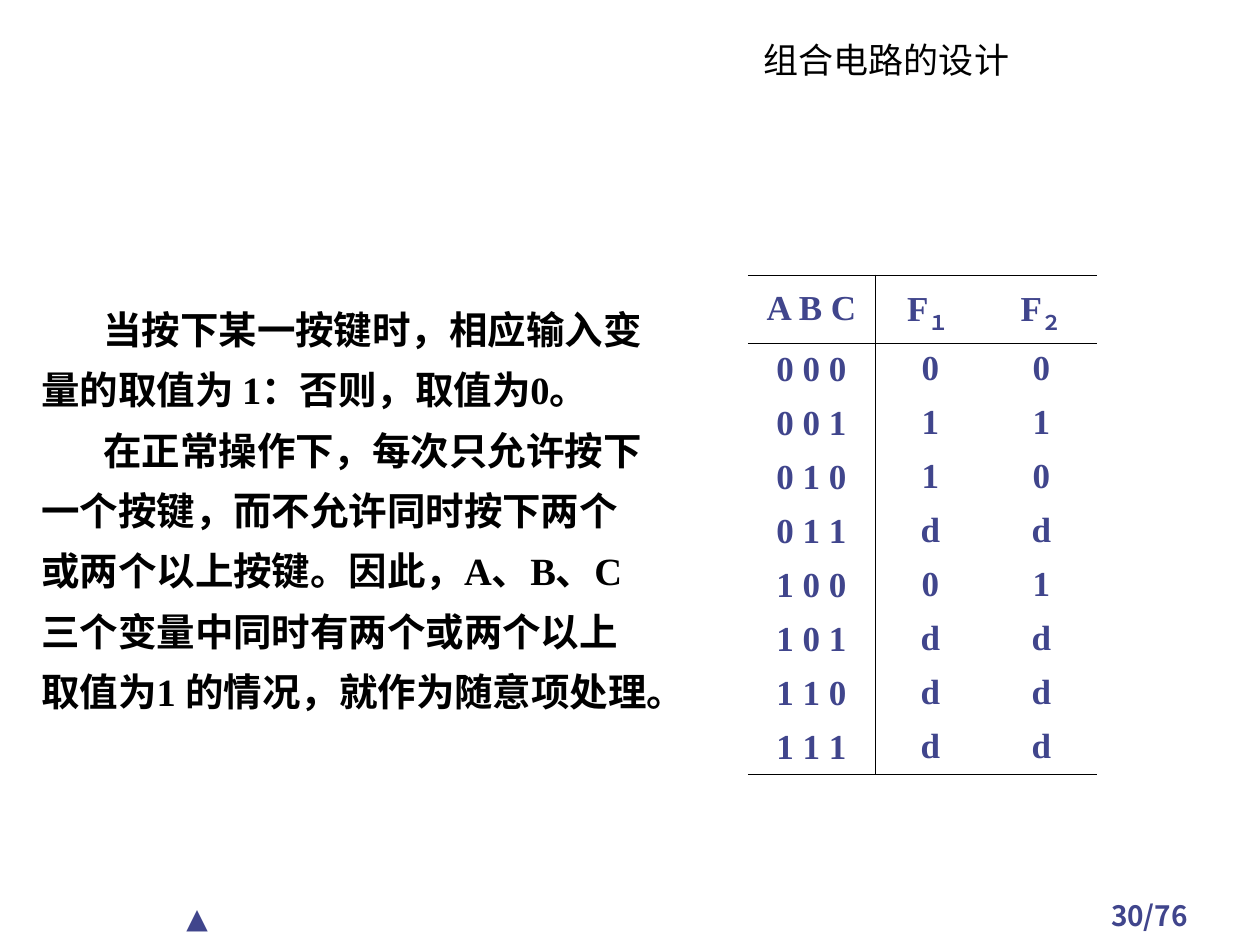
from lxml.etree import SubElement
from pptx import Presentation
from pptx.dml.color import RGBColor
from pptx.enum.text import MSO_ANCHOR, PP_ALIGN
from pptx.oxml.ns import qn
from pptx.util import Pt

PX = 914400 // 126
BLACK, INDIGO = "000000", "40458C"
SANS, SERIF = "Noto Sans CJK SC", "Times New Roman"
NO_GRID_STYLE = "{2D5ABB26-0587-4C30-8999-92F81FD0307C}"

TITLE_FORMAT = {"size": Pt(20), "name": SANS, "bold": False}
BODY_FORMAT = {"size": Pt(22), "name": SERIF, "bold": True}
TABLE_FORMAT = {"size": Pt(20), "name": SERIF, "bold": True}
PAGE_FORMAT = {"size": Pt(16), "name": SANS, "bold": True}
MARK_FORMAT = {"size": Pt(16), "name": "Cabin", "bold": False}

# Each line of the explanation, and whether it opens a paragraph
EXPLANATION = [
    ("当按下某一按键时，相应输入变", True),
    ("量的取值为 1：否则，取值为0。", False),
    ("在正常操作下，每次只允许按下", True),
    ("一个按键，而不允许同时按下两个", False),
    ("或两个以上按键。因此，A、B、C", False),
    ("三个变量中同时有两个或两个以上", False),
    ("取值为1 的情况，就作为随意项处理。", False),
]
OUTPUTS = ["00", "11", "10", "dd", "01", "dd", "dd", "dd"]


def px(length):
    return length * PX


def paint(target, color):
    target.rgb = RGBColor.from_string(color)


def add_run(paragraph, text, format_values, color, baseline=None):
    run = paragraph.add_run()
    run.text = text
    for attribute, value in format_values.items():
        setattr(run.font, attribute, value)
    paint(run.font.color, color)
    properties = run.font._element
    SubElement(properties, qn("a:ea"), typeface=SANS)
    if baseline is not None:
        properties.set("baseline", str(baseline))


def add_frame(slide, box):
    frame = slide.shapes.add_textbox(*map(px, box)).text_frame
    frame.word_wrap = True
    return frame


def add_label(slide, box, text, format_values, color,
              align=PP_ALIGN.CENTER, anchor=MSO_ANCHOR.TOP):
    frame = add_frame(slide, box)
    frame.vertical_anchor = anchor
    frame.paragraphs[0].alignment = align
    add_run(frame.paragraphs[0], text, format_values, color)


def add_explanation(slide, box):
    frame = add_frame(slide, box)
    margin = px(62)
    for index, (line, opens) in enumerate(EXPLANATION):
        paragraph = frame.add_paragraph() if index else frame.paragraphs[0]
        paragraph.line_spacing = 1.1
        if index:
            paragraph.space_before = Pt(5.5)
        properties = paragraph._p.get_or_add_pPr()
        properties.set("marL", str(margin))
        properties.set("indent", str(0 if opens else -margin))
        properties.set("hangingPunct", "0")
        add_run(paragraph, line, BODY_FORMAT, BLACK)


def rule_cell(cell, ruled_sides):
    properties = cell._tc.get_or_add_tcPr()
    for side in "LRTB":
        line = SubElement(properties, qn(f"a:ln{side}"), w=str(Pt(0.45)))
        if side in ruled_sides:
            fill = SubElement(line, qn("a:solidFill"))
            SubElement(fill, qn("a:srgbClr"), val=BLACK)
        else:
            SubElement(line, qn("a:noFill"))


def add_truth_table(slide, box):
    left, top, width, height = box
    input_width, header_height = 127, 68
    row_count = len(OUTPUTS) + 1
    table = slide.shapes.add_table(row_count, 3, *map(px, box)).table
    table._tbl.tblPr.find(qn("a:tableStyleId")).text = NO_GRID_STYLE
    table.first_row = table.horz_banding = False

    # Column and row sizes
    output_width = (width - input_width) // 2
    for column, size in zip(table.columns, [input_width, output_width, output_width]):
        column.width = px(size)
    output_height = px(height - header_height) // len(OUTPUTS)
    for index, row in enumerate(table.rows):
        row.height = output_height if index else px(header_height)

    # Each cell is a list of (text, baseline) runs
    rows = [[[("A B C", None)],
             [("F", None), ("１ ", -25000)],
             [("F", None), ("２", -25000)]]]
    for number, outputs in enumerate(OUTPUTS):
        texts = [" ".join(f"{number:03b}"), *outputs]
        rows.append([[(text, None)] for text in texts])

    for r, row in enumerate(rows):
        for c, runs in enumerate(row):
            cell = table.cell(r, c)
            sides = ("R", "L", "")[c]
            sides += "T" if r in (0, 1) else ""
            sides += "B" if r in (0, row_count - 1) else ""
            rule_cell(cell, sides)
            cell.fill.background()
            cell.margin_left = cell.margin_right = px(10)
            cell.margin_top = cell.margin_bottom = px(6)
            cell.vertical_anchor = MSO_ANCHOR.TOP if c else MSO_ANCHOR.MIDDLE
            paragraph = cell.text_frame.paragraphs[0]
            paragraph.alignment = PP_ALIGN.CENTER
            for text, baseline in runs:
                add_run(paragraph, text, TABLE_FORMAT, INDIGO, baseline)


def add_footer(slide, box):
    left, top, width, height = box
    add_label(slide, (left, top + 2, 179, height), "▲", MARK_FORMAT, INDIGO, PP_ALIGN.LEFT)
    add_label(slide, (left + width - 179, top, 179, height), "30/76", PAGE_FORMAT, INDIGO)


def main():
    deck = Presentation()
    deck.slide_width, deck.slide_height = px(1260), px(945)
    slide = deck.slides.add_slide(deck.slide_layouts[6])
    add_footer(slide, (174, 892, 1065, 42))
    add_label(slide, (535, 34, 703, 53), "组合电路的设计", TITLE_FORMAT, BLACK,
              anchor=MSO_ANCHOR.BOTTOM)
    add_explanation(slide, (29, 295, 679, 483))
    add_truth_table(slide, (748, 275, 349, 498))
    deck.save("out.pptx")


if __name__ == "__main__":
    main()
